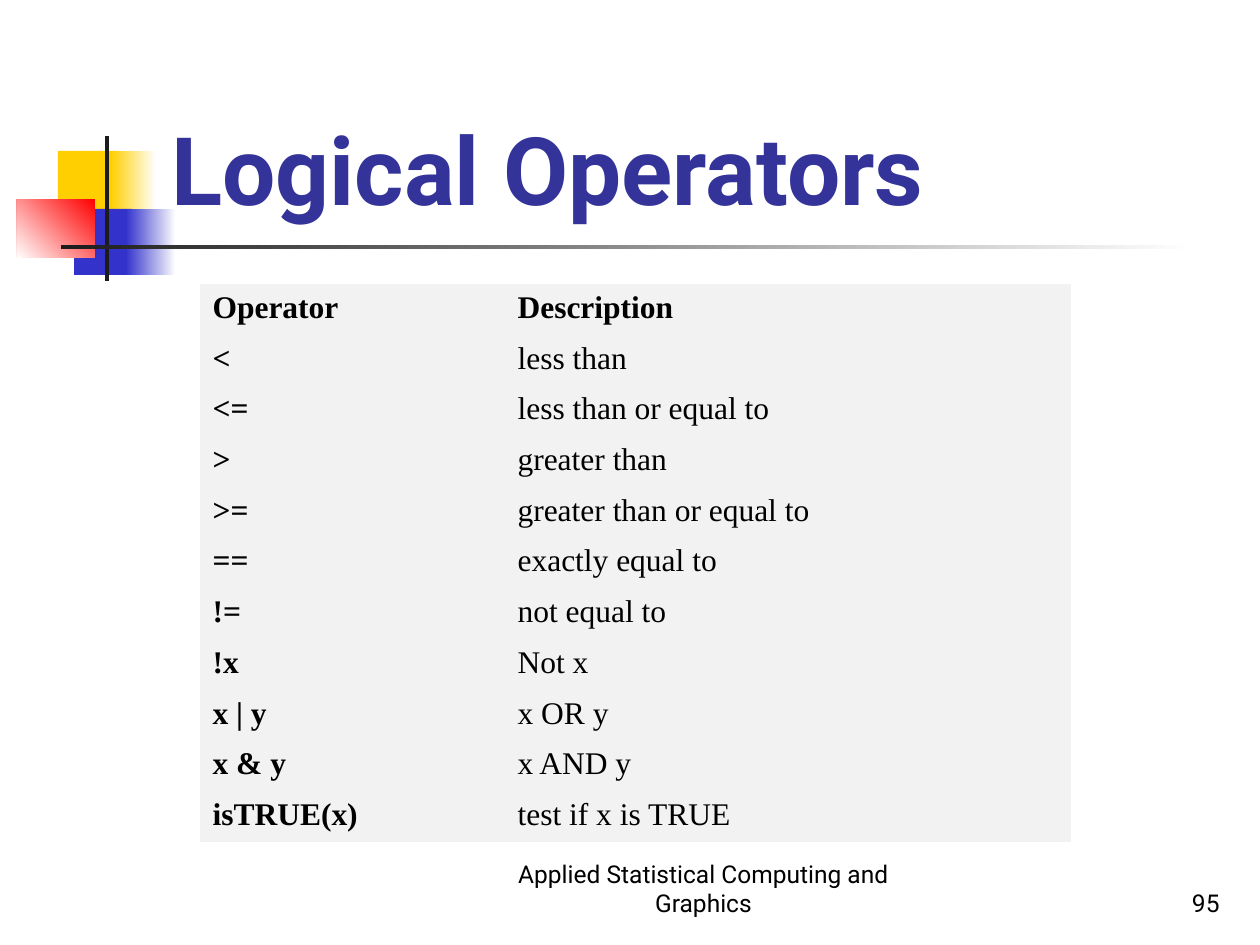
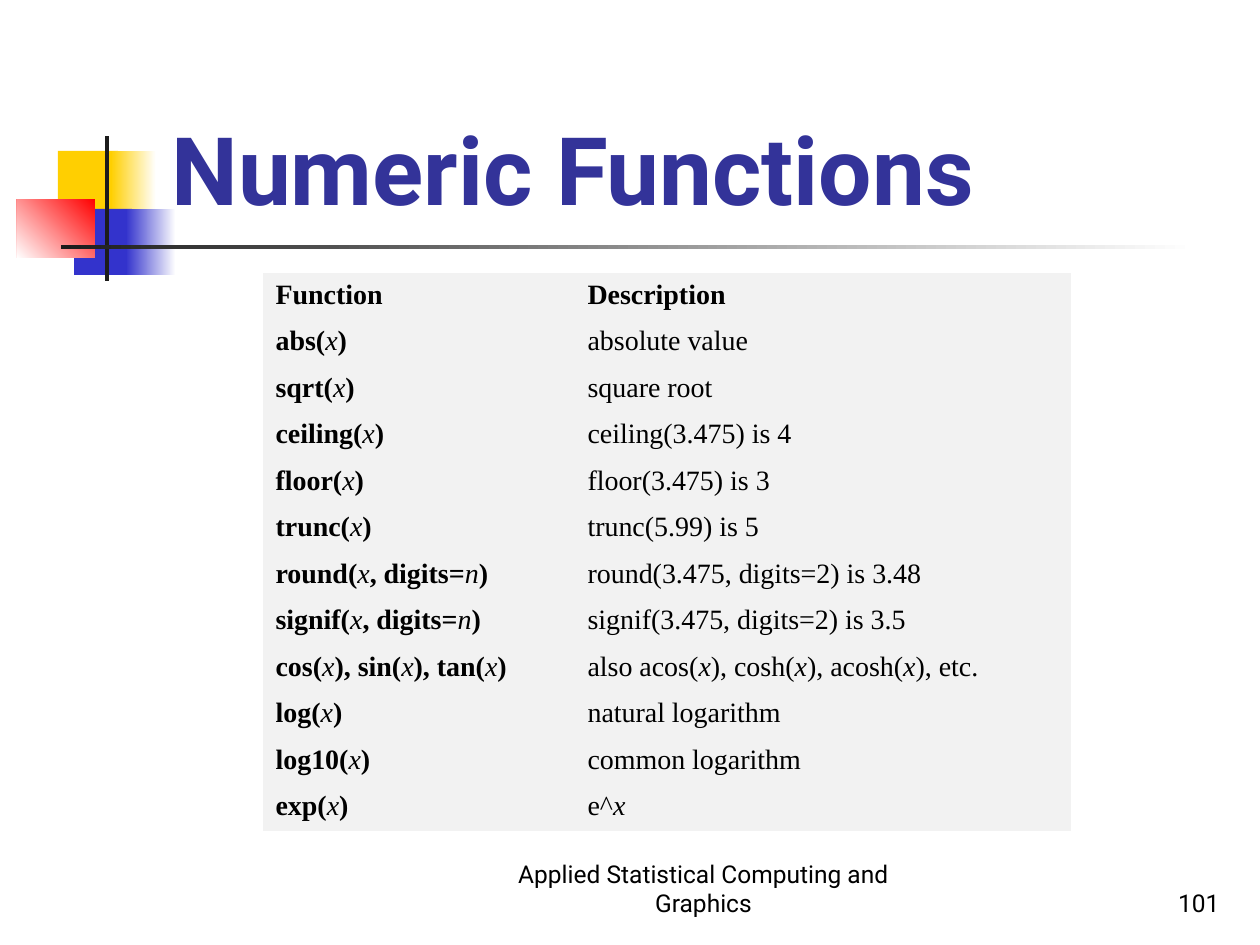
import dataclasses

import pptx
import pptx.dml.color
import pptx.enum.shapes
import pptx.enum.text
import pptx.util

ALIGN = pptx.enum.text.PP_ALIGN
NO_GRID_STYLE = "{2D5ABB26-0587-4C30-8999-92F81FD0307C}"
FOOTER = "Applied Statistical Computing and Graphics"


@dataclasses.dataclass(frozen=True)
class Theme:
    white: str = "FFFFFF"
    yellow: str = "FFCF01"
    blue: str = "3333CC"
    red: str = "FF0000"
    dark: str = "1C1C1C"
    title: str = "333399"
    text: str = "000000"
    cell: str = "F2F2F2"
    font: str = "Roboto"
    table_font: str = "Times New Roman"
    title_size: int = 54
    footer_size: int = 14


THEME = Theme()

# Asterisks enclose the italic arguments
OPERATORS = [
    ("Operator", "Description"),
    ("<", "less than"),
    ("<=", "less than or equal to"),
    (">", "greater than"),
    (">=", "greater than or equal to"),
    ("==", "exactly equal to"),
    ("!=", "not equal to"),
    ("!x", "Not x"),
    ("x | y", "x OR y"),
    ("x & y", "x AND y"),
    ("isTRUE(x)", "test if x is TRUE"),
]

FUNCTIONS = [
    ("Function", "Description"),
    ("abs(*x*)", "absolute value"),
    ("sqrt(*x*)", "square root"),
    ("ceiling(*x*)", "ceiling(3.475) is 4"),
    ("floor(*x*)", "floor(3.475) is 3"),
    ("trunc(*x*)", "trunc(5.99) is 5"),
    ("round(*x*, digits=*n*)", "round(3.475, digits=2) is 3.48"),
    ("signif(*x*, digits=*n*)", "signif(3.475, digits=2) is 3.5"),
    ("cos(*x*), sin(*x*), tan(*x*)", "also acos(*x*), cosh(*x*), acosh(*x*), etc."),
    ("log(*x*)", "natural logarithm"),
    ("log10(*x*)", "common logarithm"),
    ("exp(*x*)", "e^*x*"),
]


def px(n):
    return pptx.util.Emu(round(n * 914400 / 126))


def rgb(color):
    return pptx.dml.color.RGBColor.from_string(color)


def add_run(p, text, font, size, color, bold=False, italic=False):
    r = p.add_run()
    r.text = text
    r.font.name = font
    r.font.size = pptx.util.Pt(size)
    r.font.color.rgb = rgb(color)
    r.font.bold = bold
    r.font.italic = italic


def add_rect(s, box, color, fade_to=None, angle=0):
    """Draw a plain rectangle, or one fading clockwise along angle."""
    sp = s.shapes.add_shape(pptx.enum.shapes.MSO_SHAPE.RECTANGLE, *map(px, box))
    sp.shadow.inherit = False
    sp.line.fill.background()
    if fade_to is None:
        sp.fill.solid()
        sp.fill.fore_color.rgb = rgb(color)
        return
    sp.fill.gradient()
    sp.fill.gradient_angle = 360 - angle
    for stop, stop_color in zip(sp.fill.gradient_stops, (color, fade_to)):
        stop.color.rgb = rgb(stop_color)


def add_text(s, box, text, size, color, align=ALIGN.LEFT, bold=False):
    tf = s.shapes.add_textbox(*map(px, box)).text_frame
    tf.word_wrap = True
    tf.vertical_anchor = pptx.enum.text.MSO_ANCHOR.BOTTOM
    p = tf.paragraphs[0]
    p.alignment = align
    add_run(p, text, THEME.font, size, color, bold)


def add_ornament(s):
    white = THEME.white
    add_rect(s, (58, 151, 60, 66), THEME.yellow)
    add_rect(s, (111, 151, 45, 66), white, THEME.yellow, 180)
    add_rect(s, (74, 209, 58, 66), THEME.blue)
    add_rect(s, (126, 209, 50, 66), white, THEME.blue, 180)
    add_rect(s, (17, 199, 78, 59), THEME.red, white, 135)
    add_rect(s, (105, 136, 4, 145), THEME.dark)
    add_rect(s, (61, 245, 1134, 4), white, THEME.dark, 180)


def fill_cell(cell, text, size, bold):
    cell.fill.solid()
    cell.fill.fore_color.rgb = rgb(THEME.cell)
    p = cell.text_frame.paragraphs[0]
    for i, part in enumerate(text.split("*")):
        italic = i % 2 == 1
        if part:
            add_run(p, part, THEME.table_font, size, THEME.text, bold and not italic, italic)


def add_reference_table(s, rows, left, top, widths, size, height=558):
    box = (left, top, sum(widths), height)
    frame = s.shapes.add_table(len(rows), len(widths), *map(px, box))
    table = frame.table
    table.horz_banding = False
    table.first_row = False
    table._tbl.tblPr[0].text = NO_GRID_STYLE
    for column, width in zip(table.columns, widths):
        column.width = px(width)
    for i, row in enumerate(rows):
        table.rows[i].height = px(height / len(rows))
        for j, text in enumerate(row):
            fill_cell(table.cell(i, j), text, size, bold=i == 0 or j == 0)


def add_slide(prs, title, number):
    """Add a slide with the shared ornament, title and footer."""
    s = prs.slides.add_slide(prs.slide_layouts[6])
    add_ornament(s)
    add_text(s, (159, 29, 1074, 202), title, THEME.title_size, THEME.title, bold=True)
    add_text(s, (504, 861, 399, 63), FOOTER, THEME.footer_size, THEME.text, ALIGN.CENTER)
    add_text(s, (970, 861, 262, 63), str(number), THEME.footer_size, THEME.text, ALIGN.RIGHT)
    return s


def main():
    prs = pptx.Presentation()
    prs.slide_width, prs.slide_height = px(1260), px(945)

    # Logical operators
    s = add_slide(prs, "Logical Operators", 95)
    add_reference_table(s, OPERATORS, 200, 284, (305, 566), 18)

    # Numeric functions
    s = add_slide(prs, "Numeric Functions", 101)
    add_reference_table(s, FUNCTIONS, 263, 273, (312, 496), 16)

    prs.save("out.pptx")


if __name__ == "__main__":
    main()
